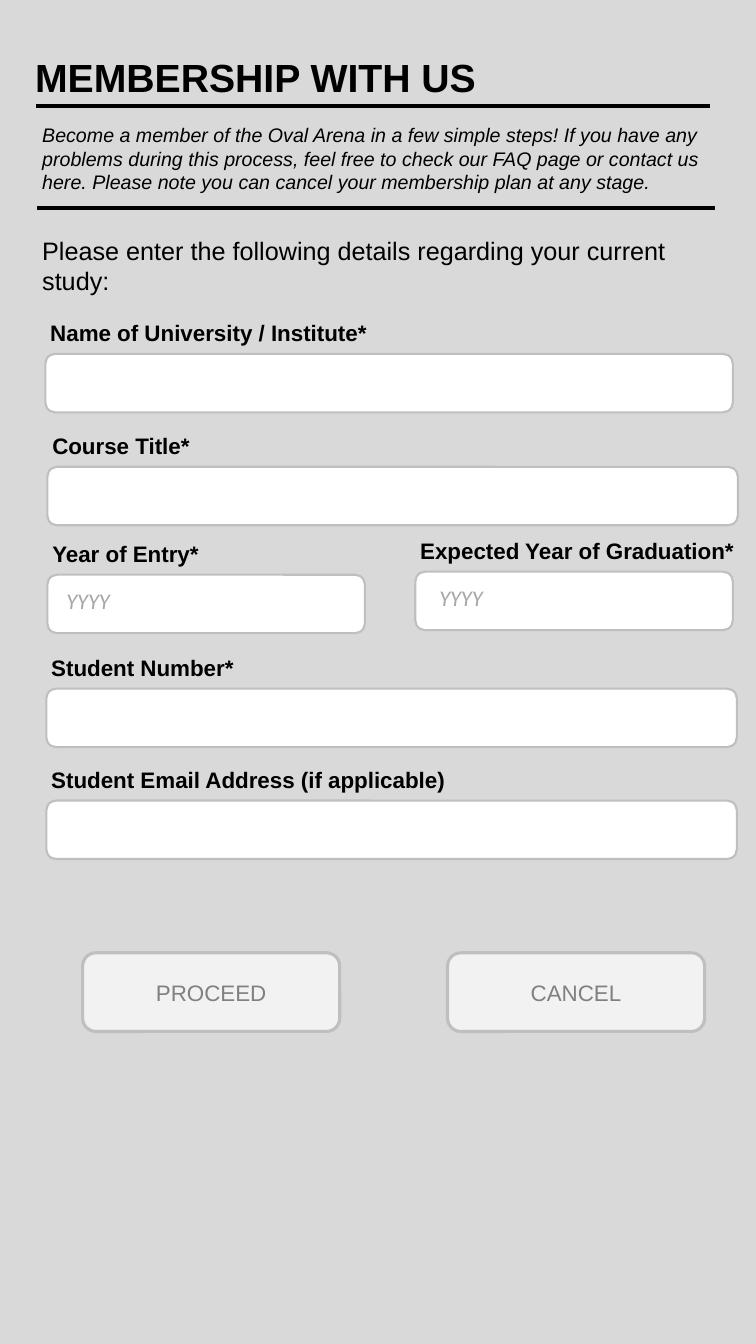
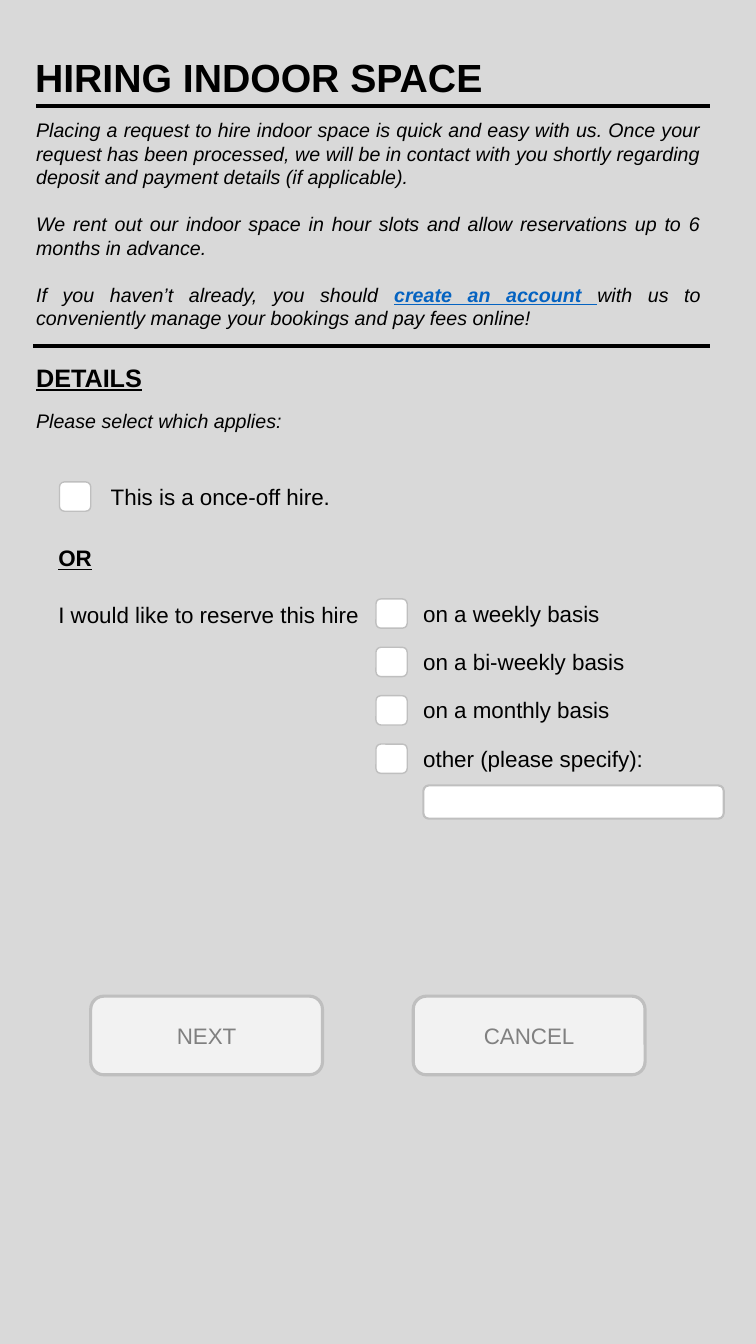
import pptx
import pptx.dml.color
import pptx.enum.shapes
import pptx.enum.text
import pptx.oxml.ns
import pptx.util
from lxml import etree

Inches = pptx.util.Inches
Pt = pptx.util.Pt
RGB = pptx.dml.color.RGBColor.from_string
ALIGN = pptx.enum.text.PP_ALIGN
ROUNDED = pptx.enum.shapes.MSO_SHAPE.ROUNDED_RECTANGLE
STRAIGHT = pptx.enum.shapes.MSO_CONNECTOR.STRAIGHT

THEME = {
    "background": "D9D9D9",
    "ink": "000000",
    "link": "0563C1",
    "border": "BFBFBF",
    "rule_width": 3,
    # text styles: font, size, colour, emphasis
    "title": ("Arial", 28, "000000", "bold"),
    "heading": ("Arial", 18, "000000", "bold underline"),
    "prompt": ("Arial", 18, "000000", ""),
    "intro": ("Arial", 14, "000000", "italic"),
    "label": ("Arial", 16, "000000", "bold"),
    "divider": ("Arial", 16, "000000", "bold underline"),
    "option": ("Arial", 16, "000000", ""),
    "hint": ("Calibri", 16, "A6A6A6", "italic"),
    "button_text": ("Arial", 16, "808080", ""),
    # rounded boxes: fill, border width
    "field": ("FFFFFF", 1.5),
    "checkbox": ("FFFFFF", 1),
    "button": ("F2F2F2", 2.25),
}


def write_text(shape, text, style, align=ALIGN.LEFT, gap=0):
    """Fill a shape with text in a theme style; gap is the space between paragraphs."""
    font_name, size, colour, emphasis = THEME[style]
    shape.text_frame.word_wrap = True
    shape.text_frame.text = text
    for index, paragraph in enumerate(shape.text_frame.paragraphs):
        paragraph.alignment = align
        if index and gap:
            paragraph.space_before = Pt(gap)
        for run in paragraph.runs:
            run.font.name = font_name
            run.font.size = Pt(size)
            run.font.color.rgb = RGB(colour)
            run.font.bold = "bold" in emphasis
            run.font.italic = "italic" in emphasis
            run.font.underline = "underline" in emphasis


def add_rounded(slide, look, left, top, width, height):
    """Add a rounded box in one of the theme looks."""
    fill, border_width = THEME[look]
    shape = slide.shapes.add_shape(
        ROUNDED, Inches(left), Inches(top), Inches(width), Inches(height))
    shape.shadow.inherit = False
    shape.fill.solid()
    shape.fill.fore_color.rgb = RGB(fill)
    shape.line.color.rgb = RGB(THEME["border"])
    shape.line.width = Pt(border_width)
    return shape


presentation = pptx.Presentation()
presentation.slide_width = Inches(7.5)
presentation.slide_height = Inches(13.33)

# Shared frame: background, title, two rules, two buttons
pages = [
    {"title": "MEMBERSHIP WITH US", "lower_rule": (0.37, 7.09, 2.06),
     "buttons": [("PROCEED", 0.82), ("CANCEL", 4.44)], "button_top": 9.45, "button_width": 2.55},
    {"title": "HIRING INDOOR SPACE", "lower_rule": (0.33, 7.04, 3.43),
     "buttons": [("NEXT", 0.9), ("CANCEL", 4.1)], "button_top": 9.88, "button_width": 2.3},
]
slides = []
for page in pages:
    slide = presentation.slides.add_slide(presentation.slide_layouts[6])
    slides.append(slide)
    slide.background.fill.solid()
    slide.background.fill.fore_color.rgb = RGB(THEME["background"])
    title = slide.shapes.add_textbox(Inches(0.25), Inches(0.48), Inches(5.9), Inches(0.57))
    write_text(title, page["title"], "title")
    for start, end, height in [(0.36, 7.04, 1.05), page["lower_rule"]]:
        rule = slide.shapes.add_connector(
            STRAIGHT, Inches(start), Inches(height), Inches(end), Inches(height))
        rule.line.color.rgb = RGB(THEME["ink"])
        rule.line.width = Pt(THEME["rule_width"])
        etree.SubElement(rule.element.spPr, pptx.oxml.ns.qn("a:effectLst"))
    for caption, left in page["buttons"]:
        button = add_rounded(
            slide, "button", left, page["button_top"], page["button_width"], 0.78)
        write_text(button, caption, "button_text", ALIGN.CENTER)

membership, hiring = slides

# Membership: introduction and prompt
intro = membership.shapes.add_textbox(Inches(0.32), Inches(1.17), Inches(6.78), Inches(0.81))
write_text(intro, "Become a member of the Oval Arena in a few simple steps! If you have any "
           "problems during this process, feel free to check our FAQ page or contact us here. "
           "Please note you can cancel your membership plan at any stage.", "intro")
prompt = membership.shapes.add_textbox(Inches(0.32), Inches(2.28), Inches(6.85), Inches(0.71))
write_text(prompt, "Please enter the following details regarding your current study:", "prompt")

# Membership: labelled form fields (label, left, top, width, hint, hint indent)
form_fields = [
    ("Name of University / Institute*", 0.45, 3.51, 6.82, "", 0),
    ("Course Title*", 0.47, 4.63, 6.85, "", 0),
    ("Year of Entry*", 0.47, 5.7, 3.15, "YYYY", 0.16),
    ("Expected Year of Graduation*", 4.12, 5.67, 3.15, "YYYY", 0.21),
    ("Student Number*", 0.46, 6.83, 6.85, "", 0),
    ("Student Email Address (if applicable)", 0.46, 7.94, 6.85, "", 0),
]
for caption, left, top, width, hint, indent in form_fields:
    label = membership.shapes.add_textbox(
        Inches(left - 0.05), Inches(top - 0.39), Inches(width + 0.2), Inches(0.37))
    write_text(label, caption, "label")
    field = add_rounded(membership, "field", left, top, width, 0.58)
    if hint:
        write_text(field, hint, "hint")
        field.text_frame.margin_left = Inches(indent)
        field.text_frame.margin_bottom = Inches(0.11)

# Hiring: introduction with a highlighted phrase
intro = hiring.shapes.add_textbox(Inches(0.26), Inches(1.12), Inches(6.79), Inches(2.22))
write_text(intro, "Placing a request to hire indoor space is quick and easy with us. Once your "
           "request has been processed, we will be in contact with you shortly regarding deposit "
           "and payment details (if applicable).\n"
           "We rent out our indoor space in hour slots and allow reservations up to 6 months in "
           "advance.\n"
           "If you haven’t already, you should ", "intro", ALIGN.JUSTIFY, gap=16.8)
font_name, size, colour, _ = THEME["intro"]
for text, run_colour, marked in [
        ("create an account ", THEME["link"], True),
        ("with us to conveniently manage your bookings and pay fees online!", colour, False)]:
    run = intro.text_frame.paragraphs[-1].add_run()
    run.text = text
    run.font.name = font_name
    run.font.size = Pt(size)
    run.font.color.rgb = RGB(run_colour)
    run.font.italic = True
    run.font.bold = run.font.underline = marked

# Hiring: headings and lead-ins
for text, style, left, top, width, height in [
        ("DETAILS", "heading", 0.26, 3.54, 6.85, 0.4),
        ("Please select which applies:", "intro", 0.26, 4.01, 6.79, 0.34),
        ("OR", "divider", 0.48, 5.35, 6.4, 0.37),
        ("I would like to reserve this hire", "option", 0.48, 5.91, 3.25, 0.37)]:
    lead_in = hiring.shapes.add_textbox(Inches(left), Inches(top), Inches(width), Inches(height))
    write_text(lead_in, text, style)

# Hiring: checkboxes, one alone and a column at an equal pitch
frequencies = ["on a weekly basis", "on a bi-weekly basis", "on a monthly basis",
               "other (please specify):"]
options = [("This is a once-off hire.", 0.59, 4.78, 1)]
options += [(text, 3.73, 5.94 + 0.48 * row, 4.1) for row, text in enumerate(frequencies)]
for text, left, top, text_left in options:
    add_rounded(hiring, "checkbox", left, top, 0.31, 0.29)
    option = hiring.shapes.add_textbox(
        Inches(text_left), Inches(top - 0.04), Inches(3.19), Inches(0.37))
    write_text(option, text, "option")
add_rounded(hiring, "field", 4.2, 7.79, 2.98, 0.33)

presentation.save("out.pptx")
